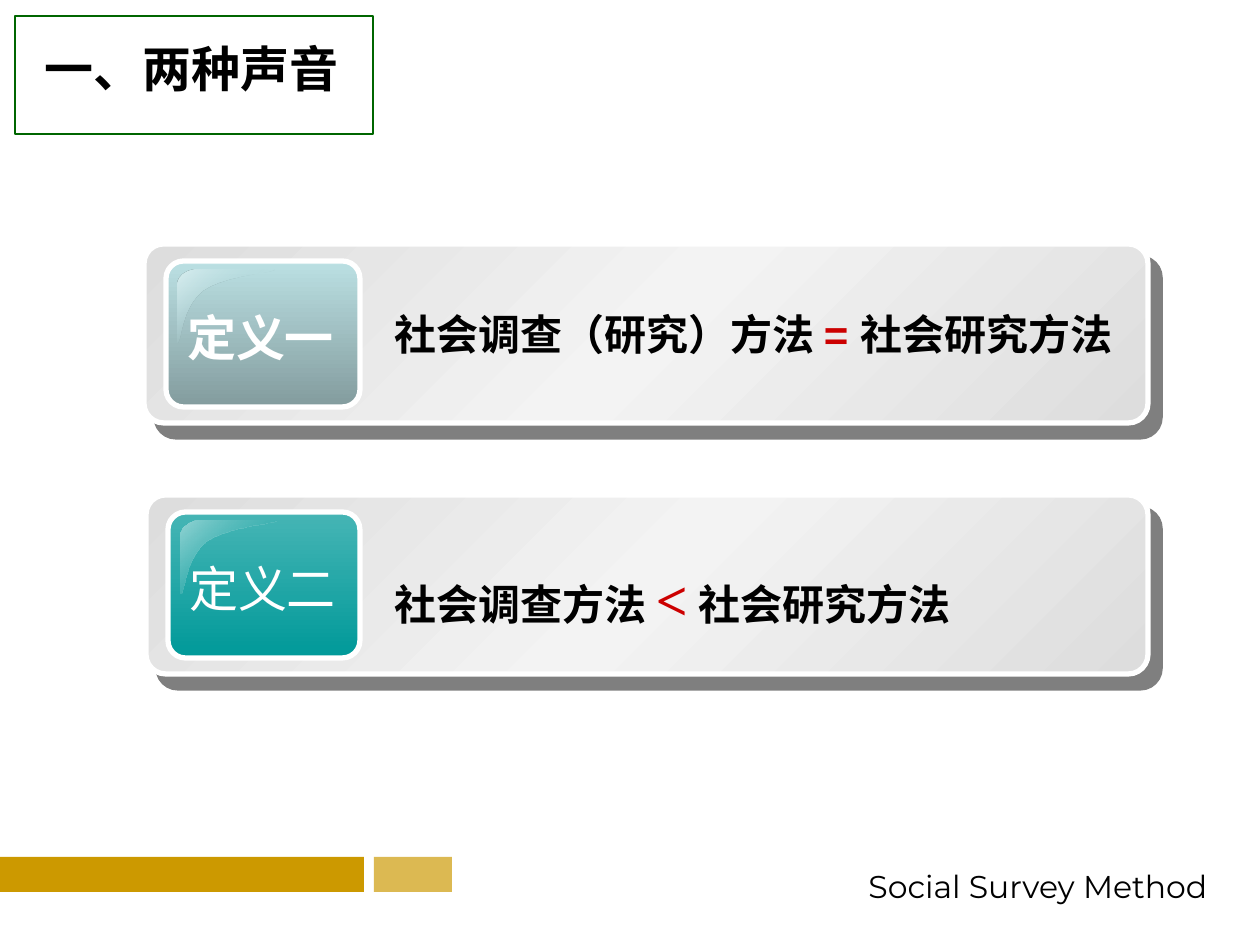
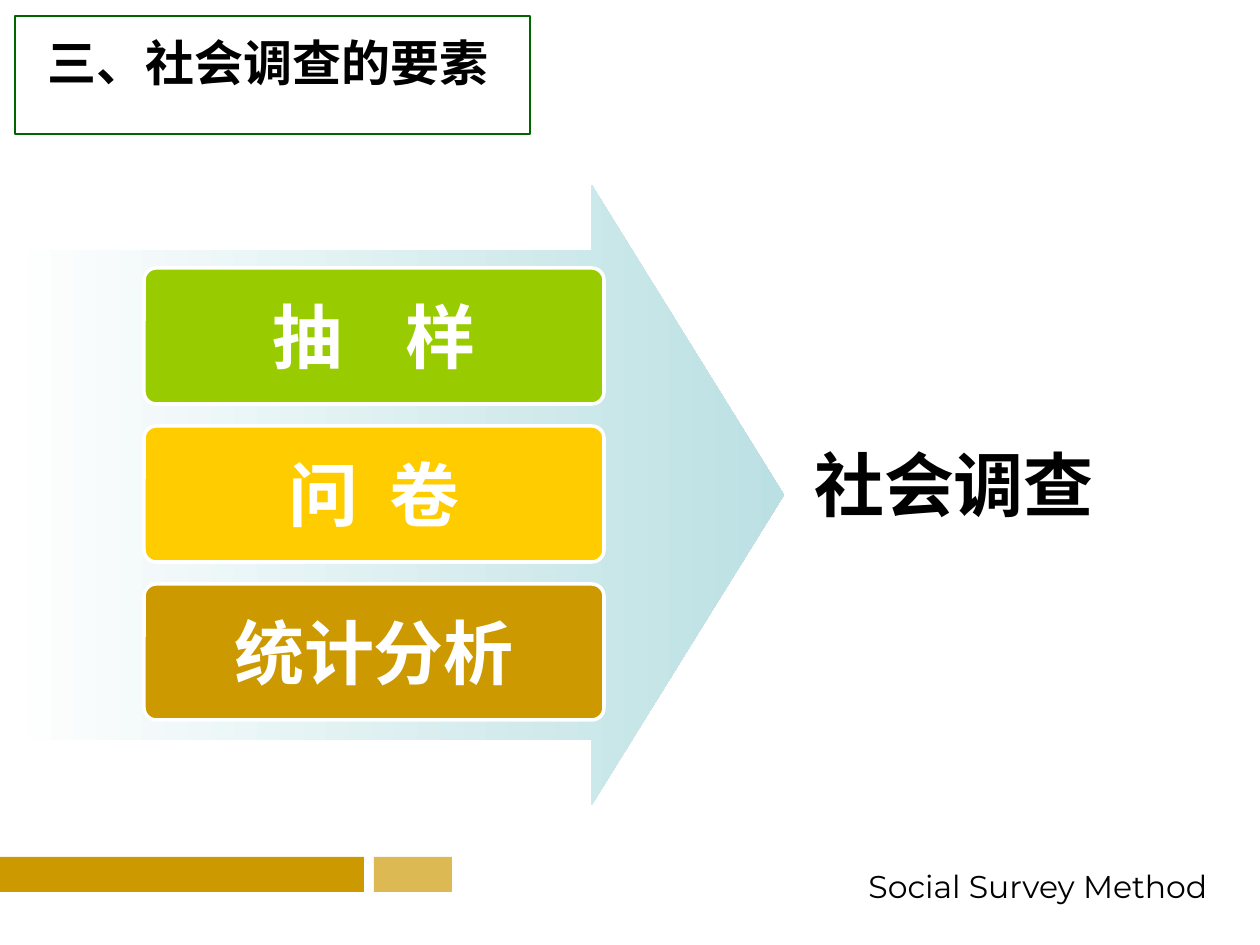
from lxml import etree
from pptx import Presentation
from pptx.dml.color import RGBColor
from pptx.enum.shapes import MSO_SHAPE
from pptx.enum.text import MSO_ANCHOR, MSO_AUTO_SIZE, PP_ALIGN
from pptx.oxml.ns import qn
from pptx.util import Emu, Pt

RECT, ROUND, ARROW = MSO_SHAPE.RECTANGLE, MSO_SHAPE.ROUNDED_RECTANGLE, MSO_SHAPE.RIGHT_ARROW
LEFT, CENTER = PP_ALIGN.LEFT, PP_ALIGN.CENTER
TOP, MIDDLE = MSO_ANCHOR.TOP, MSO_ANCHOR.MIDDLE
FIXED = MSO_AUTO_SIZE.NONE

BLACK, WHITE = RGBColor(0, 0, 0), RGBColor(255, 255, 255)
GOLD, GREEN = RGBColor(0xCC, 0x99, 0x00), RGBColor(0x00, 0x66, 0x00)
LIME, YELLOW = RGBColor(0x99, 0xCC, 0x00), RGBColor(0xFF, 0xCC, 0x00)
RED = RGBColor(0xCC, 0x00, 0x00)
GRAY, LIGHT = RGBColor(0xDD, 0xDD, 0xDD), RGBColor(0xF3, 0xF3, 0xF3)
SKY, SLATE = RGBColor(0xBB, 0xE0, 0xE3), RGBColor(0x83, 0x9C, 0x9E)
SHINE, MINT = RGBColor(0xDA, 0xEE, 0xF0), RGBColor(0x93, 0xD4, 0xD4)
AQUA, TEAL = RGBColor(0x46, 0xB5, 0xB5), RGBColor(0x00, 0x99, 0x99)

ASIAN = "Noto Sans CJK SC"
FOOTER = "Social Survey Method"
BANDS = [((0, 857, 364, 35), 100), ((374, 857, 78, 35), 68)]

VOICES = dict(title="一、两种声音", box=(32, 32, 546, 72), frame=358)
PARTS = dict(title="三、社会调查的要素", box=(35, 26, 635, 72), frame=515)

CARDS = [
    dict(left=144, label="定义一", bold=True, box=(382, 302, 764, 63),
         badge=[(0, SKY, 100), (100, SLATE, 100)],
         gloss=[(0, SHINE, 100), (50, SKY, 0), (100, SHINE, 100)],
         runs=[("社会调查（研究）方法 ", {}), ("= ", dict(color=RED)), ("社会研究方法", {})]),
    dict(left=146, label="定义二", bold=False, box=(382, 558, 738, 81),
         badge=[(0, AQUA, 100), (100, TEAL, 100)],
         gloss=[(0, MINT, 100), (100, TEAL, 0)],
         runs=[("社会调查方法 ", {}), ("<", dict(color=RED, size=32, face="Times New Roman")),
               (" ", dict(face="Times New Roman")), ("社会研究方法", {})]),
]
CARD_TOP, CARD_STEP, CARD_END, CARD_HIGH = 244, 251, 1148, 179
BADGE_END = 360
SHEEN = [(0, 0), [(19, 0), (9, 0), (0, 7), (0, 15)],
         [(0, 73), (5, 74), (3, 39), (26, 21)],
         [(26, 21), (50, 5), (97, 4), (96, 0)]]

STEPS = [
    ([("抽", {}), (" ", dict(track=27)), ("样", {})], LIME, "Arial"),
    ([("问", {}), (" ", dict(track=9)), ("卷", {})], YELLOW, ASIAN),
    ("统计分析", GOLD, "Arial"),
]
STEP_TOP, STEP_GAP, STEP_HIGH = 268, 22, 136
RESULT = "社会调查"


def px(num):
    return Emu(round(num * 914400 / 126))


def place(box):
    return [px(num) for num in box]


def fade(clr, part):
    if part < 100:
        etree.SubElement(clr, qn("a:alpha")).set("val", str(part * 1000))


def blend(item, stops, angle):
    item.fill.gradient()
    grad = item.element.spPr.find(qn("a:gradFill"))
    ramp = grad.find(qn("a:gsLst"))
    for old in list(ramp):
        ramp.remove(old)
    for pos, color, part in stops:
        stop = etree.SubElement(ramp, qn("a:gs"))
        stop.set("pos", str(pos * 1000))
        clr = etree.SubElement(stop, qn("a:srgbClr"))
        clr.set("val", str(color))
        fade(clr, part)
    grad.find(qn("a:lin")).set("ang", str(angle * 60000))


def style(item, fill=None, angle=0, line=None, width=1, part=100):
    item.shadow.inherit = False
    if isinstance(fill, list):
        blend(item, fill, angle)
    elif fill is None:
        item.fill.background()
    else:
        item.fill.solid()
        item.fill.fore_color.rgb = fill
        fade(next(item.element.spPr.iter(qn("a:srgbClr"))), part)
    if line is None:
        item.line.fill.background()
    else:
        item.line.color.rgb = line
        item.line.width = Pt(width)
    return item


def shape(slide, kind, box, adj=(), **look):
    item = slide.shapes.add_shape(kind, *place(box))
    for num, val in enumerate(adj):
        item.adjustments[num] = val
    return style(item, **look)


def cast(item):
    glow = etree.SubElement(item.element.spPr.find(qn("a:effectLst")), qn("a:outerShdw"))
    for key, val in dict(dist=Pt(10.6), dir=49 * 60000, algn="ctr", rotWithShape=0).items():
        glow.set(key, str(val))
    clr = etree.SubElement(glow, qn("a:srgbClr"))
    clr.set("val", str(BLACK))
    fade(clr, 50)


def write(item, runs, size=28, color=BLACK, bold=True, face="Arial",
          align=LEFT, anchor=TOP, wrap=True):
    frame = item.text_frame
    frame.auto_size = FIXED
    frame.word_wrap = wrap
    frame.vertical_anchor = anchor
    para = frame.paragraphs[0]
    para.alignment = align
    base = dict(size=size, color=color, face=face, track=0)
    for words, diff in [(runs, {})] if isinstance(runs, str) else runs:
        look = {**base, **diff}
        run = para.add_run()
        run.text = words
        font = run.font
        font.size, font.bold, font.name = Pt(look["size"]), bold, look["face"]
        font.color.rgb = look["color"]
        prop = run._r.get_or_add_rPr()
        etree.SubElement(prop, qn("a:ea")).set("typeface", ASIAN)
        if look["track"]:
            prop.set("spc", str(look["track"] * 100))
    return item


def label(slide, box, runs, **look):
    return write(slide.shapes.add_textbox(*place(box)), runs, **look)


def start(deck, layout, topic):
    slide = deck.slides.add_slide(layout)
    head = slide.shapes.title
    head.left, head.top, head.width, head.height = place(topic["box"])
    write(head, topic["title"])
    shape(slide, RECT, (15, 16, topic["frame"], 118), line=GREEN, width=0.75)
    return slide


def share(slide, layout):
    parts = [shape(slide, RECT, box, fill=GOLD, part=part) for box, part in BANDS]
    parts.append(label(slide, (828, 861, 420, 42), FOOTER, size=18, bold=False,
                       face="Montserrat", align=CENTER, wrap=False))
    for num, item in enumerate(parts, 100):
        item.element.nvSpPr.cNvPr.set("id", str(num))
        layout.shapes.element.append(item.element)


def curve(ends, count=12):
    for num in range(count + 1):
        t = num / count
        mix = ((1 - t) ** 3, 3 * t * (1 - t) ** 2, 3 * t * t * (1 - t), t ** 3)
        yield tuple(sum(m * end[axis] for m, end in zip(mix, ends)) for axis in (0, 1))


def gloss(slide, left, top, stops):
    dots = [dot for ends in SHEEN[1:] for dot in curve(ends)]
    spots = [(px(left + x), px(top + y)) for x, y in dots]
    pen = slide.shapes.build_freeform(*spots[0], scale=1.0)
    pen.add_line_segments(spots[1:], close=True)
    style(pen.convert_to_shape(), fill=stops, angle=45)


def card(slide, top, data):
    left = data["left"]
    cast(shape(slide, ROUND, (left, top, CARD_END - left, CARD_HIGH), [0.11], angle=45,
               fill=[(0, GRAY, 100), (50, LIGHT, 100), (100, GRAY, 100)],
               line=WHITE, width=3))
    shape(slide, ROUND, (left + 22, top + 17, BADGE_END - left - 22, 146), [0.12],
          fill=data["badge"], angle=90, line=WHITE, width=3)
    gloss(slide, left + 34, top + 26, data["gloss"])
    label(slide, (left + 31, top + 57, 171, 72), data["label"], color=WHITE,
          bold=data["bold"], align=CENTER, wrap=False)
    label(slide, data["box"], data["runs"], size=24)


def main():
    deck = Presentation()
    deck.slide_width, deck.slide_height = px(1260), px(945)
    layout = deck.slide_layouts[5]

    slide = start(deck, layout, VOICES)
    share(slide, layout)
    for num, data in enumerate(CARDS):
        card(slide, CARD_TOP + num * CARD_STEP, data)

    slide = start(deck, layout, PARTS)
    shape(slide, ARROW, (5, 185, 779, 620), [0.79, 0.31],
          fill=[(0, WHITE, 100), (100, SKY, 100)])
    for num, (words, fill, face) in enumerate(STEPS):
        top = STEP_TOP + num * (STEP_HIGH + STEP_GAP)
        item = shape(slide, ROUND, (144, top, 460, STEP_HIGH), [0.09],
                     fill=fill, line=WHITE, width=2)
        write(item, words, size=40, color=WHITE, face=face,
              align=CENTER, anchor=MIDDLE, wrap=False)
    label(slide, (781, 394, 346, 179), RESULT, size=40, align=CENTER, anchor=MIDDLE)
    deck.save("out.pptx")


if __name__ == "__main__":
    main()
